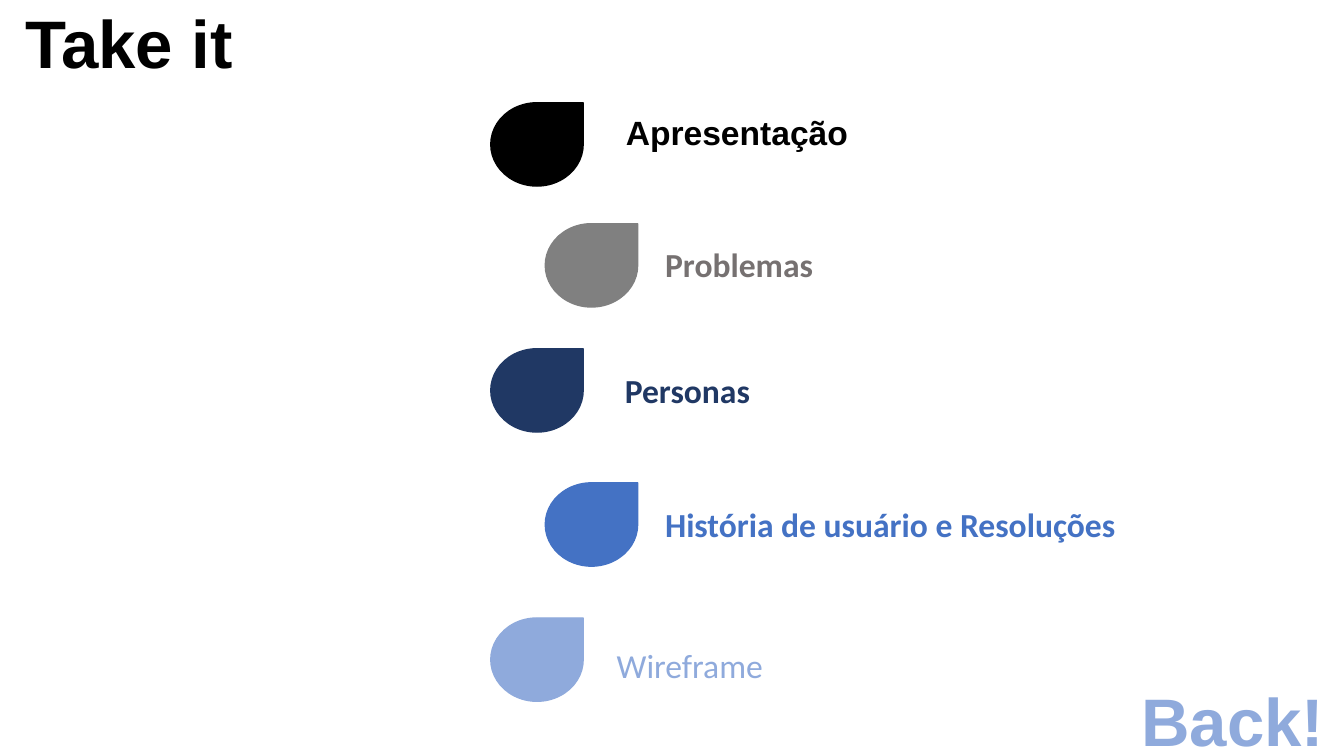
from pptx import Presentation
from pptx.dml.color import RGBColor
from pptx.enum.shapes import MSO_SHAPE
from pptx.enum.text import MSO_AUTO_SIZE, PP_ALIGN
from pptx.util import Pt

HEADINGS = [
    ("Take it", "000000", 92.2, 7.8),
    ("Back!", "8FAADC", 880.6, 491.4),
]
TOPICS = [
    ("Apresentação\u00a0", "Arial", True, "000000", "000000", 73.4, 439.9, 76.3, 327.6),
    ("Problemas\u00a0", "Calibri", True, "808080", "767171", 159.8, 468, 170.6, 244.1),
    ("Personas", "Calibri", True, "203864", "203864", 249.1, 439.2, 260.6, 216),
    ("História de usuário e Resoluções", "Calibri", True, "4472C4", "4472C4", 344.9, 468, 356.4, 345.6),
    ("Wireframe", "Calibri", False, "8FAADC", "8FAADC", 441.4, 433.4, 457.2, 216),
]
DROP_LEFT, DROP_INDENT = 350.6, 38.9
DROP_WIDTH, DROP_HEIGHT = 66, 59.5
HEADING_WIDTH, HEADING_HEIGHT = 156, 48
LABEL_HEIGHT = 36


def color(hex_string):
    return RGBColor.from_string(hex_string)


def add_text(text, left, top, width, height, size, font, bold, ink):
    box = slide.shapes.add_textbox(Pt(left), Pt(top), Pt(width), Pt(height))
    frame = box.text_frame
    frame.text = text
    frame.word_wrap = True
    paragraph = frame.paragraphs[0]
    run_font = paragraph.runs[0].font
    run_font.size = Pt(size)
    run_font.name = font
    run_font.bold = bold
    run_font.color.rgb = color(ink)
    return frame


def add_heading(text, ink, center, top):
    frame = add_text(text, center - HEADING_WIDTH / 2, top, HEADING_WIDTH,
                     HEADING_HEIGHT, 48, "Arial", True, ink)
    frame.margin_left = frame.margin_right = 0
    frame.margin_top = frame.margin_bottom = 0
    frame.paragraphs[0].alignment = PP_ALIGN.CENTER
    frame.paragraphs[0].line_spacing = 0.9


def add_drop(left, top, fill):
    drop = slide.shapes.add_shape(MSO_SHAPE.TEAR, Pt(left), Pt(top),
                                  Pt(DROP_WIDTH), Pt(DROP_HEIGHT))
    drop.shadow.inherit = False
    drop.fill.solid()
    drop.fill.fore_color.rgb = color(fill)
    drop.line.color.rgb = color(fill)
    drop.line.width = Pt(1)


presentation = Presentation()
presentation.slide_width = Pt(960)
presentation.slide_height = Pt(540)
slide = presentation.slides.add_slide(presentation.slide_layouts[6])

for heading in HEADINGS:
    add_heading(*heading)

for index, topic in enumerate(TOPICS):
    text, font, bold, fill, ink, drop_top, label_left, label_top, label_width = topic
    add_drop(DROP_LEFT + index % 2 * DROP_INDENT, drop_top, fill)
    label = add_text(text, label_left, label_top, label_width, LABEL_HEIGHT, 24, font, bold, ink)
    label.auto_size = MSO_AUTO_SIZE.SHAPE_TO_FIT_TEXT

presentation.save("out.pptx")
